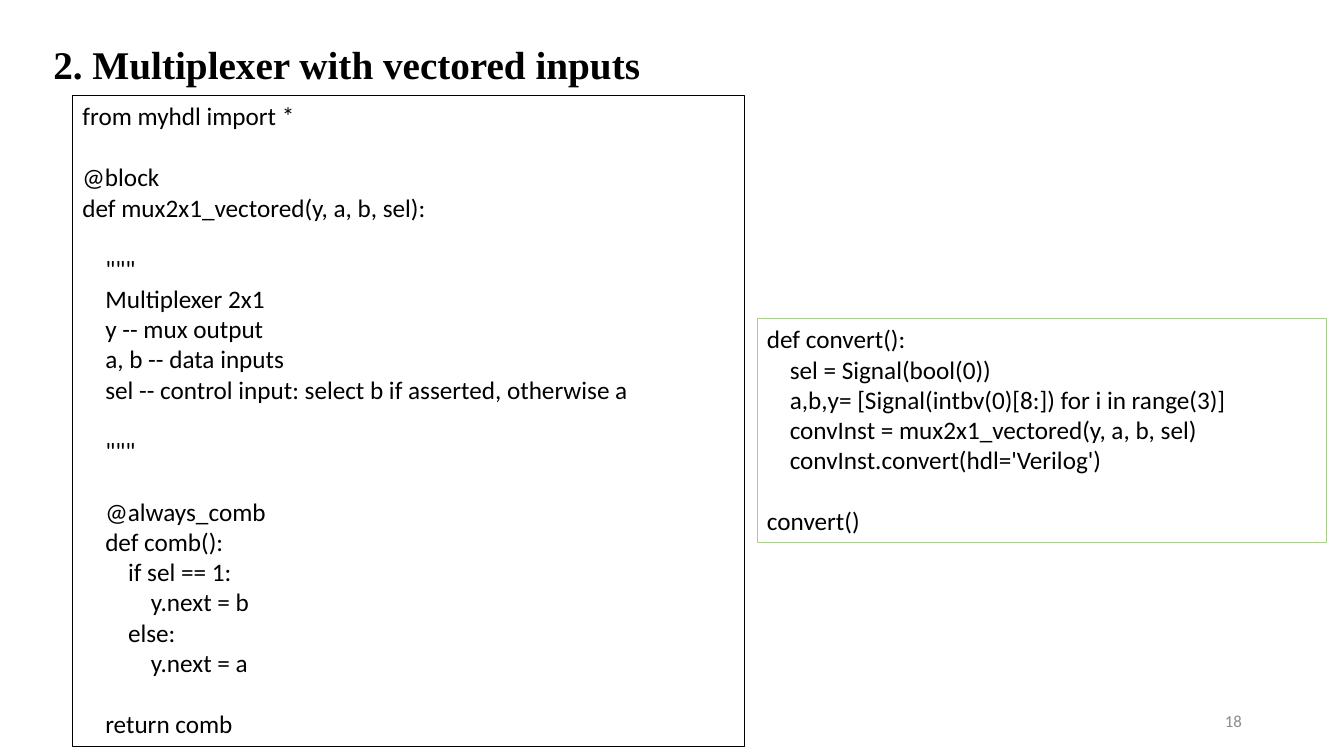
from pptx import Presentation
from pptx import util as u
from pptx.dml.color import RGBColor
from pptx.enum import shapes, text

COLOURS = {"ink": "000000", "green": "A9D18E", "grey": "8C8C8C"}
CODE_SIZE = 18
LINE_HEIGHT = 22
SPACE_WIDTH = 4.07

MUX_CODE = '''from myhdl import *

@block
def mux2x1_vectored(y, a, b, sel):

    """
    Multiplexer 2x1
    y -- mux output
    a, b -- data inputs
    sel -- control input: select b if asserted, otherwise a

    """

    @always_comb
    def comb():
        if sel == 1:
            y.next = b
        else:
            y.next = a

    return comb'''

CONVERT_CODE = '''def convert():
    sel = Signal(bool(0))
    a,b,y= [Signal(intbv(0)[8:]) for i in range(3)]
    convInst = mux2x1_vectored(y, a, b, sel)
    convInst.convert(hdl='Verilog')

convert()'''


class CodeSlide:
    def __init__(self, presentation):
        self.slide = presentation.slides.add_slide(presentation.slide_layouts[5])

    def style(self, paragraph, size, colour="ink", font="Calibri", bold=False,
              align=text.PP_ALIGN.LEFT):
        paragraph.alignment = align
        paragraph.font.name = font
        paragraph.font.size = u.Pt(size)
        paragraph.font.bold = bold
        paragraph.font.color.rgb = RGBColor.from_string(COLOURS[colour])

    def title(self, wording, left, top, width, height):
        title = self.slide.shapes.title
        title.left, title.top = u.Cm(left), u.Cm(top)
        title.width, title.height = u.Cm(width), u.Cm(height)
        frame = title.text_frame
        frame.text = wording
        frame.auto_size = text.MSO_AUTO_SIZE.NONE
        frame.vertical_anchor = text.MSO_ANCHOR.TOP
        self.style(frame.paragraphs[0], 28, font="Times New Roman", bold=True)

    def code_box(self, code, line_colour, left, top, width, height):
        """Draw outlined code; blank lines become spacing, leading spaces become indents."""
        box = self.slide.shapes.add_shape(
            shapes.MSO_SHAPE.RECTANGLE, u.Cm(left), u.Cm(top), u.Cm(width), u.Cm(height))
        box.shadow.inherit = False
        box.fill.background()
        box.line.color.rgb = RGBColor.from_string(COLOURS[line_colour])
        box.line.width = u.Pt(0.75)
        frame = box.text_frame
        frame.word_wrap = True
        frame.vertical_anchor = text.MSO_ANCHOR.TOP
        paragraph = frame.paragraphs[0]
        gap = 0
        for number, line in enumerate(code.splitlines()):
            if not line:
                gap += LINE_HEIGHT
                continue
            if number:
                paragraph = frame.add_paragraph()
            statement = line.lstrip()
            paragraph.text = statement
            paragraph.space_before = u.Pt(gap)
            indent = u.Pt((len(line) - len(statement)) * SPACE_WIDTH)
            paragraph._p.get_or_add_pPr().set("marL", str(indent))
            self.style(paragraph, CODE_SIZE)
            gap = 0

    def page_number(self, number, left, top, width, height):
        box = self.slide.shapes.add_textbox(
            u.Cm(left), u.Cm(top), u.Cm(width), u.Cm(height))
        frame = box.text_frame
        frame.word_wrap = True
        frame.vertical_anchor = text.MSO_ANCHOR.MIDDLE
        frame.text = str(number)
        self.style(frame.paragraphs[0], 12, "grey", align=text.PP_ALIGN.RIGHT)


def main():
    presentation = Presentation()
    presentation.slide_width = u.Cm(33.87)
    presentation.slide_height = u.Cm(19.05)
    slide = CodeSlide(presentation)
    slide.title("2. Multiplexer with vectored inputs", 1.09, 0.89, 16.94, 1.45)
    slide.code_box(MUX_CODE, "ink", 1.83, 2.41, 16.94, 16.41)
    slide.code_box(CONVERT_CODE, "green", 19.08, 8.03, 14.35, 5.64)
    slide.page_number(18, 23.93, 17.65, 7.62, 1.02)
    presentation.save("out.pptx")


if __name__ == "__main__":
    main()
